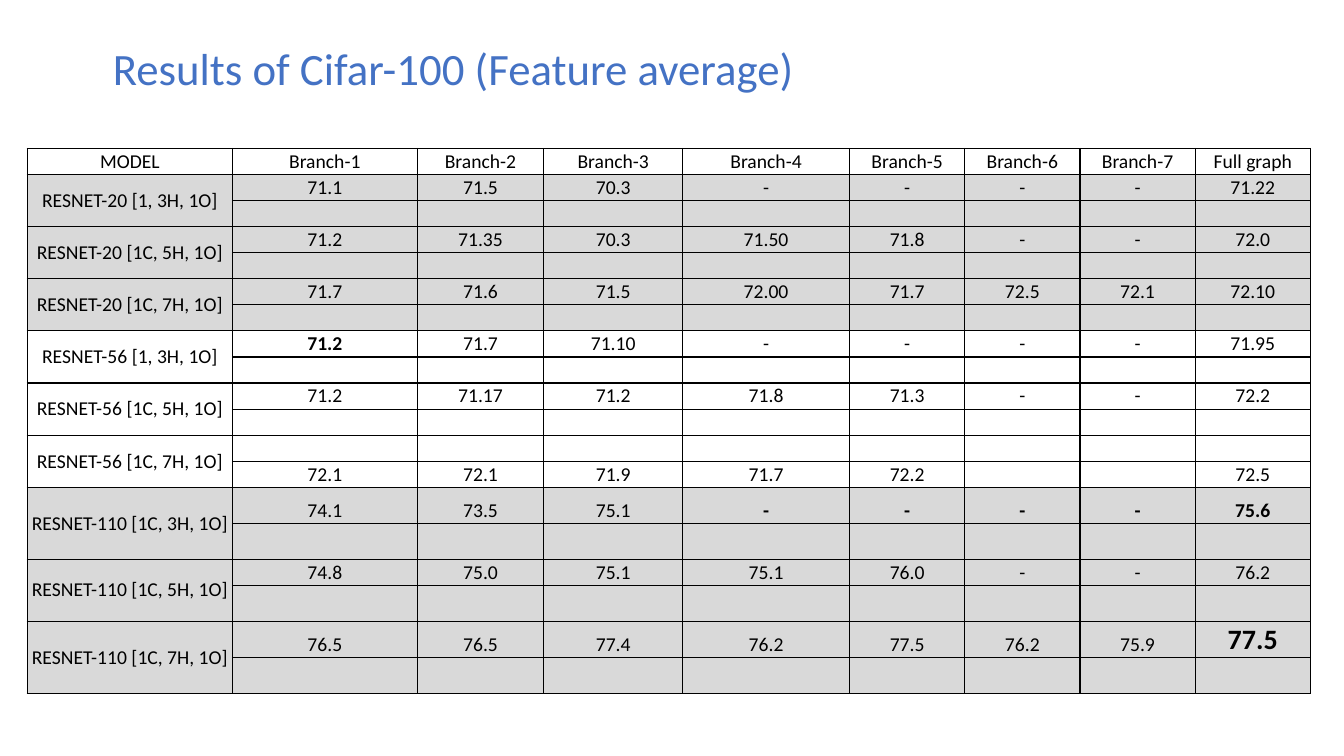
from lxml.etree import SubElement
from pptx import Presentation
from pptx.dml.color import RGBColor
from pptx.enum.text import MSO_ANCHOR as Anchor, MSO_AUTO_SIZE as AutoSize, PP_ALIGN as Align
from pptx.oxml.ns import qn
from pptx.util import Pt

BLUE = RGBColor(0x44, 0x72, 0xC4)
BLACK = RGBColor(0, 0, 0)
WHITE = RGBColor(0xFF, 0xFF, 0xFF)
GREY = RGBColor(0xD9, 0xD9, 0xD9)
FONT = "Calibri"
BODY_SIZE = 14

HEADINGS = ["MODEL", *(f"Branch-{number}" for number in range(1, 8)), "Full graph"]
COLUMN_WIDTHS = [146.6, 132, 90.4, 99.2, 119.2] + [82.3] * 4
LOW_ROW, TALL_ROW = 18.65, 25.7
TALL_ROWS = {13, 14, 16, 17, 18}

# Model, its fill, and the score of each branch and the full graph
MODELS = [
    ("RESNET-20 [1, 3H, 1O]", GREY, "71.1 71.5 70.3 - - - - 71.22"),
    ("RESNET-20 [1C, 5H, 1O]", GREY, "71.2 71.35 70.3 71.50 71.8 - - 72.0"),
    ("RESNET-20 [1C, 7H, 1O]", GREY, "71.7 71.6 71.5 72.00 71.7 72.5 72.1 72.10"),
    ("RESNET-56 [1, 3H, 1O]", WHITE, "71.2 71.7 71.10 - - - - 71.95"),
    ("RESNET-56 [1C, 5H, 1O]", WHITE, "71.2 71.17 71.2 71.8 71.3 - - 72.2"),
    ("RESNET-56 [1C, 7H, 1O]", WHITE, "72.1 72.1 71.9 71.7 72.2 . . 72.5"),
    ("RESNET-110 [1C, 3H, 1O]", GREY, "74.1 73.5 75.1 - - - - 75.6"),
    ("RESNET-110 [1C, 5H, 1O]", GREY, "74.8 75.0 75.1 75.1 76.0 - - 76.2"),
    ("RESNET-110 [1C, 7H, 1O]", GREY, "76.5 76.5 77.4 76.2 77.5 76.2 75.9 77.5"),
]
BLANK_MARK = "."
SCORES_IN_SECOND_ROW = {"RESNET-56 [1C, 7H, 1O]"}
BOLD_CELLS = {(7, 1), (17, 8)} | {(13, column) for column in range(4, 9)}
LARGE_CELLS = {(17, 8): 20}


def add_span(para, text, size, color, bold=False):
    span = para.add_run()
    span.text = text
    span.font.name = FONT
    span.font.size = Pt(size)
    span.font.bold = bold
    span.font.color.rgb = color


def add_title(page, left, top, width, height):
    box = page.shapes.add_textbox(Pt(left), Pt(top), Pt(width), Pt(height))
    frame = box.text_frame
    frame.word_wrap = True
    frame.auto_size = AutoSize.SHAPE_TO_FIT_TEXT
    add_span(frame.paragraphs[0], "Results of Cifar-100 (Feature average)", 32, BLUE)


def add_borders(cell):
    properties = cell._tc.get_or_add_tcPr()
    for side in ("lnL", "lnR", "lnT", "lnB"):
        line = SubElement(properties, qn(f"a:{side}"), w=str(Pt(1)))
        fill = SubElement(line, qn("a:solidFill"))
        SubElement(fill, qn("a:srgbClr"), val=str(BLACK))


def table_rows():
    """Return (fill, texts) for every row of the table."""
    rows = [(WHITE, HEADINGS)]
    for model, fill, scores in MODELS:
        values = ["" if score == BLANK_MARK else score for score in scores.split()]
        blanks = [""] * len(values)
        pair = [blanks, values] if model in SCORES_IN_SECOND_ROW else [values, blanks]
        rows += [(fill, [model] + pair[0]), (fill, [""] + pair[1])]
    return rows


def fill_cell(cell, text, fill, place):
    row, column = place
    add_borders(cell)
    cell.fill.solid()
    cell.fill.fore_color.rgb = fill
    cell.margin_left = cell.margin_right = Pt(0.72)
    cell.margin_top = cell.margin_bottom = Pt(0.72)
    cell.vertical_anchor = Anchor.MIDDLE if row and not column else Anchor.BOTTOM
    para = cell.text_frame.paragraphs[0]
    para.alignment = Align.CENTER
    if text:
        add_span(para, text, LARGE_CELLS.get(place, BODY_SIZE), BLACK, place in BOLD_CELLS)
    else:
        # Keeps blank cells from stretching their row
        SubElement(para._p, qn("a:endParaRPr"), sz=str(BODY_SIZE * 100))


def add_results(page, left, top):
    rows = table_rows()
    heights = [TALL_ROW if row in TALL_ROWS else LOW_ROW for row in range(len(rows))]
    frame = page.shapes.add_table(len(rows), len(HEADINGS), Pt(left), Pt(top),
                                  Pt(sum(COLUMN_WIDTHS)), Pt(sum(heights)))
    table = frame.table
    table.first_row = table.horz_banding = False
    for column, width in zip(table.columns, COLUMN_WIDTHS):
        column.width = Pt(width)
    for row, (fill, texts) in enumerate(rows):
        table.rows[row].height = Pt(heights[row])
        for column, text in enumerate(texts):
            fill_cell(table.cell(row, column), text, fill, (row, column))
    # Each model name spans its two rows
    for row in range(1, len(rows), 2):
        table.cell(row, 0).merge(table.cell(row + 1, 0))


def main():
    deck = Presentation()
    deck.slide_width, deck.slide_height = Pt(960), Pt(540)
    page = deck.slides.add_slide(deck.slide_layouts[6])
    add_results(page, 19.5, 106)
    add_title(page, 73.5, 25.2, 700.6, 46)
    deck.save("out.pptx")


if __name__ == "__main__":
    main()
